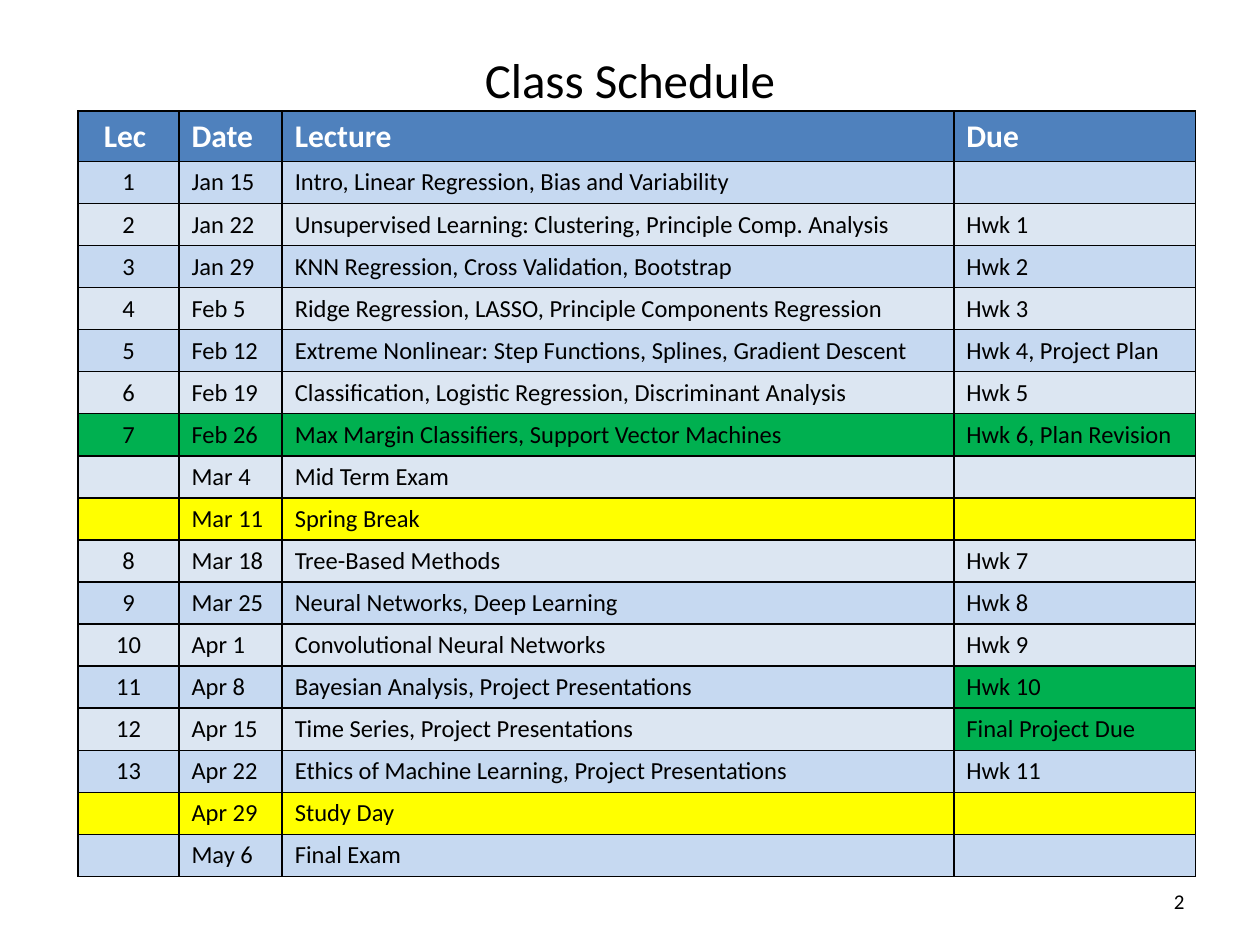
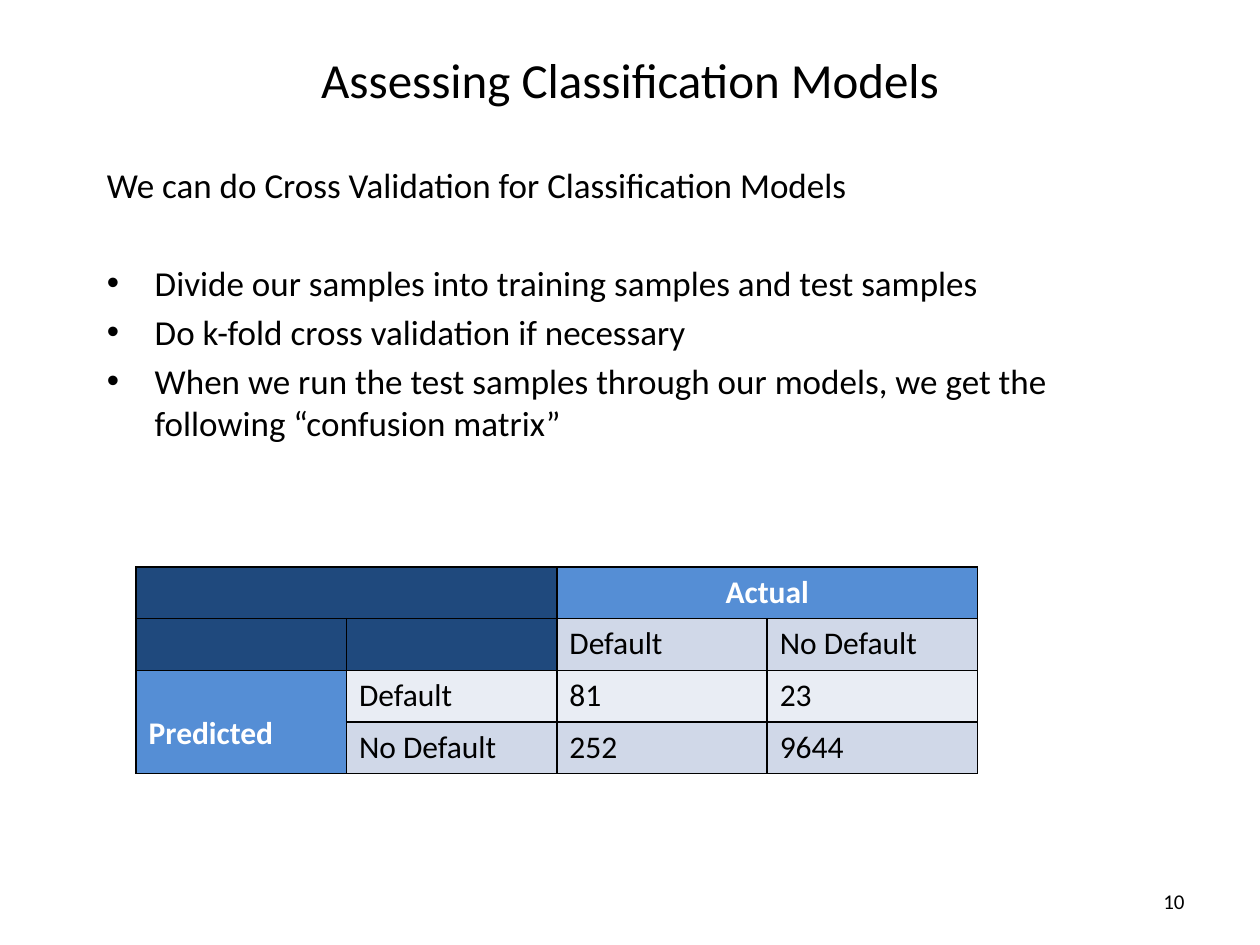
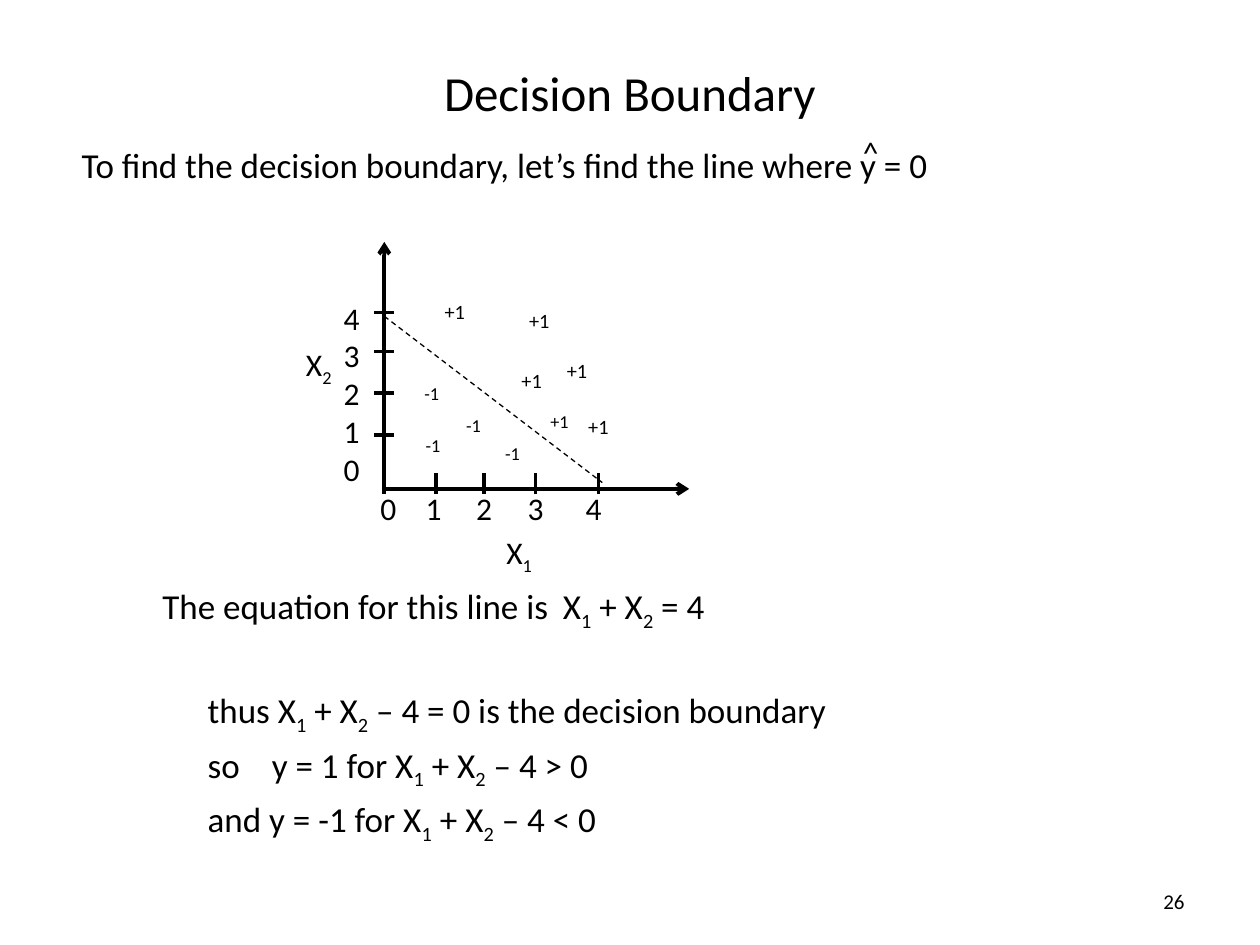
import pptx
import pptx.dml.color
import pptx.enum.dml
import pptx.enum.shapes
import pptx.enum.text
import pptx.oxml.ns
import pptx.util
from lxml import etree

Inches = pptx.util.Inches
Pt = pptx.util.Pt
ALIGN = pptx.enum.text.PP_ALIGN
ANCHOR = pptx.enum.text.MSO_ANCHOR

FONT = "Calibri"
COLORS = {
    "ink": "000000",
    "paper": "FFFFFF",
    "header": "4F81BD",
    "odd": "C6D9F1",
    "even": "DCE6F2",
    "current": "00B050",
    "holiday": "FFFF00",
    "corner": "1F497D",
    "axis": "558ED5",
    "matrix_dark": "D0D8E8",
    "matrix_light": "E9EDF4",
}
TITLE_BOX = (0.5, 0, 9, 1.25)
NUMBER_BOX = (7.17, 6.95, 2.33, 0.4)

SCHEDULE = [
    ("Lec ", "Date", "Lecture", "Due"),
    ("1", "Jan 15", "Intro, Linear Regression, Bias and Variability", ""),
    ("2", "Jan 22", "Unsupervised Learning: Clustering, Principle Comp. Analysis", "Hwk 1"),
    ("3", "Jan 29", "KNN Regression, Cross Validation, Bootstrap", "Hwk 2"),
    ("4", "Feb 5", "Ridge Regression, LASSO, Principle Components Regression", "Hwk 3"),
    ("5", "Feb 12", "Extreme Nonlinear: Step Functions, Splines, Gradient Descent",
     "Hwk 4, Project Plan"),
    ("6", "Feb 19", "Classification, Logistic Regression, Discriminant Analysis", "Hwk 5"),
    ("7", "Feb 26", "Max Margin Classifiers, Support Vector Machines", "Hwk 6, Plan Revision"),
    ("", "Mar 4", "Mid Term Exam", ""),
    ("", "Mar 11", "Spring Break", ""),
    ("8", "Mar 18", "Tree-Based Methods", "Hwk 7"),
    ("9", "Mar 25", "Neural Networks, Deep Learning", "Hwk 8"),
    ("10", "Apr 1", "Convolutional Neural Networks", "Hwk 9"),
    ("11", "Apr 8", "Bayesian Analysis, Project Presentations", "Hwk 10"),
    ("12", "Apr 15", "Time Series, Project Presentations", "Final Project Due"),
    ("13", "Apr 22", "Ethics of Machine Learning, Project Presentations", "Hwk 11"),
    ("", "Apr 29", "Study Day", ""),
    ("", "May 6", "Final Exam", ""),
]
ROW_FILLS = {"Lec ": "header", "7": "current"}
LECTURE_FILLS = {"Spring Break": "holiday", "Study Day": "holiday"}
DUE_FILLS = {"Hwk 10": "current", "Final Project Due": "current"}

# Each cell is its text and its fill
MATRIX = [
    [("", "corner"), ("", "corner"), ("Actual", "axis"), ("", "axis")],
    [("", "corner"), ("", "corner"), ("Default", "matrix_dark"), ("No Default", "matrix_dark")],
    [("Predicted", "axis"), ("Default", "matrix_light"), ("81", "matrix_light"),
     ("23", "matrix_light")],
    [("", "axis"), ("No Default", "matrix_dark"), ("252", "matrix_dark"), ("9644", "matrix_dark")],
]

# Sample labels with size, and places relative to the plot
SAMPLES = [
    ("{+1}", 20, [(1.1, 0.22), (1.77, 0.29), (1.71, 0.77), (2.07, 0.69), (2.24, 1.13)]),
    ("{+1}", 18, [(1.94, 1.12)]),
    ("{-1}", 18, [(1.27, 1.15), (0.95, 1.31), (1.58, 1.37), (0.94, 0.9)]),
]


# Shared helpers
def color(name):
    return pptx.dml.color.RGBColor.from_string(COLORS[name])


def apply(target, values):
    for name, value in values.items():
        setattr(target, name, value)


def add_element(parent, tag, **attributes):
    return etree.SubElement(parent, pptx.oxml.ns.qn(tag), attributes)


def write(paragraph, text, size, ink="ink", bold=False, **layout):
    """Fill a paragraph; text in braces becomes subscript."""
    apply(paragraph, layout)
    for index, piece in enumerate(text.replace("}", "{").split("{")):
        if piece:
            run = paragraph.add_run()
            apply(run, {"text": piece})
            apply(run.font, {"name": FONT, "size": Pt(size), "bold": bold})
            run.font.color.rgb = color(ink)
            if index % 2:
                run.font._element.set("baseline", "-25000")
    if not text:
        paragraph._p.get_or_add_endParaRPr().set("sz", str(size * 100))


def set_bullet(paragraph, indent):
    properties = paragraph._p.get_or_add_pPr()
    properties.set("marL", str(Inches(indent)))
    properties.set("indent", str(-Inches(indent)))
    add_element(properties, "a:buFont", typeface="Arial")
    add_element(properties, "a:buChar", char="•")


def set_tabs(paragraph, stops):
    tabs = add_element(paragraph._p.get_or_add_pPr(), "a:tabLst")
    for stop in stops:
        add_element(tabs, "a:tab", pos=str(Inches(stop)), algn="l")


def add_frame(shapes, box, **values):
    frame = shapes.add_textbox(*map(Inches, box)).text_frame
    apply(frame, {"word_wrap": True, **values})
    return frame


def paragraphs_of(frame, count):
    return [frame.paragraphs[0]] + [frame.add_paragraph() for _ in range(count - 1)]


def add_label(shapes, box, lines, size=18):
    frame = add_frame(shapes, box, word_wrap=False,
                      auto_size=pptx.enum.text.MSO_AUTO_SIZE.SHAPE_TO_FIT_TEXT)
    for paragraph, line in zip(paragraphs_of(frame, len(lines)), lines):
        write(paragraph, line, size)
    return frame


def add_line(shapes, start, end, width=2.25, arrow=False, dashed=False):
    line = shapes.add_connector(pptx.enum.shapes.MSO_CONNECTOR.STRAIGHT,
                                *map(Inches, start + end))
    line.line.color.rgb = color("ink")
    line.line.width = Pt(width)
    if dashed:
        line.line.dash_style = pptx.enum.dml.MSO_LINE.DASH
    if arrow:
        add_element(line.line._get_or_add_ln(), "a:tailEnd", type="arrow")
    add_element(line._element.spPr, "a:effectLst")


def add_table(slide, left, top, widths, heights):
    shape = slide.shapes.add_table(len(heights), len(widths), Inches(left), Inches(top),
                                   Inches(sum(widths)), Inches(sum(heights)))
    table = shape.table
    apply(table, {"first_row": False, "horz_banding": False})
    for column, width in zip(table.columns, widths):
        column.width = Inches(width)
    for row, height in zip(table.rows, heights):
        row.height = Inches(height)
    return table


def fill_cell(cell, text, fill, size, **values):
    properties = cell._tc.get_or_add_tcPr()
    for side in "LRTB":
        border = add_element(properties, "a:ln" + side, w=str(Pt(1)))
        add_element(add_element(border, "a:solidFill"), "a:srgbClr", val=COLORS["ink"])
    cell.fill.solid()
    cell.fill.fore_color.rgb = color(fill)
    write(cell.text_frame.paragraphs[0], text, size, **values)


def add_slide(presentation, title, number, title_box=TITLE_BOX):
    slide = presentation.slides.add_slide(presentation.slide_layouts[6])
    parts = [(title_box, title, 28, ALIGN.CENTER), (NUMBER_BOX, number, 12, ALIGN.RIGHT)]
    for box, text, size, alignment in parts:
        frame = add_frame(slide.shapes, box, vertical_anchor=ANCHOR.MIDDLE)
        write(frame.paragraphs[0], text, size, alignment=alignment)
    return slide


# Schedule
def add_schedule(slide, left, top):
    heights = [0.4] + [0.33] * (len(SCHEDULE) - 1)
    table = add_table(slide, left, top, [0.8, 0.82, 5.33, 1.92], heights)
    for row, entry in enumerate(SCHEDULE):
        band = "odd" if row % 2 else "even"
        row_fill = ROW_FILLS.get(entry[0], LECTURE_FILLS.get(entry[2], band))
        style = {"size": 14} if row else {"size": 18, "ink": "paper", "bold": True}
        for column, text in enumerate(entry):
            fill_cell(table.cell(row, column), text, DUE_FILLS.get(text, row_fill),
                      alignment=None if column else ALIGN.CENTER, **style)


# Confusion matrix
def add_matrix(slide, left, top):
    table = add_table(slide, left, top, [1.67] * 4, [0.41] * 4)
    for row, entries in enumerate(MATRIX):
        for column, (text, fill) in enumerate(entries):
            heading = {"ink": "paper", "bold": True} if fill == "axis" else {}
            fill_cell(table.cell(row, column), text, fill, 18, **heading)
    for first, last in [((0, 0), (0, 1)), ((0, 2), (0, 3)), ((2, 0), (3, 0))]:
        table.cell(*first).merge(table.cell(*last))
    table.cell(0, 2).text_frame.paragraphs[0].alignment = ALIGN.CENTER
    table.cell(2, 0).margin_top = Inches(0.35)


def add_assessment_text(slide, box):
    lines = [
        ("We can do Cross Validation for Classification Models", 4),
        ("Divide our samples into training samples and test samples", 32),
        ("Do k-fold cross validation if necessary", 4),
        ("When we run the test samples through our models, we get the "
         "following “confusion matrix”", 4),
    ]
    paragraphs = paragraphs_of(add_frame(slide.shapes, box), len(lines))
    for paragraph, (text, gap) in zip(paragraphs, lines):
        write(paragraph, text, 20, space_before=Pt(gap))
    for paragraph in paragraphs[1:]:
        set_bullet(paragraph, 0.38)


# Decision boundary
def add_boundary_text(slide, box):
    lines = [
        ("To find the decision boundary, let’s find the line where y = 0", 4, ()),
        ("\tThe equation for this line is\tX{1} + X{2} = 4", 228, (0.64, 3.82)),
        ("\tthus X{1} + X{2} – 4 = 0 is the decision boundary", 32, (1,)),
        ("\tso\ty = 1 for X{1} + X{2} – 4 > 0", 4, (1, 1.51)),
        ("\tand y = -1 for X{1} + X{2} – 4 < 0", 4, (1,)),
    ]
    paragraphs = paragraphs_of(add_frame(slide.shapes, box), len(lines))
    for paragraph, (text, gap, stops) in zip(paragraphs, lines):
        write(paragraph, text, 20, space_before=Pt(gap))
        if stops:
            set_tabs(paragraph, stops)
    left, top = box[:2]
    add_label(slide.shapes, (left + 6.2, top - 0.08, 0.33, 0.4), ["^"])


def add_plot(slide, left, top):
    shapes = slide.shapes.add_group_shape().shapes

    def at(x, y):
        return (left + x, top + y)

    # Samples and axis names
    for text, size, places in SAMPLES:
        for place in places:
            add_label(shapes, at(*place) + (0.39, 0.33), [text], size)
    add_label(shapes, at(0, 0.77) + (0.42, 0.4), ["X{2}"])
    add_label(shapes, at(1.59, 2.26) + (0.42, 0.4), ["X{1}"])

    # Scales
    add_label(shapes, at(0.3, 0.4) + (0.33, 1.62), list("43210"))
    scale = add_frame(shapes, at(0.59, 1.91) + (2, 0.4))
    write(scale.paragraphs[0], "\t".join("01234"), 18)
    set_tabs(scale.paragraphs[0], (0.36, 0.76, 1.17, 1.63))

    # Axes, ticks and boundary
    add_line(shapes, at(0.72, 0.59), at(2.45, 1.91), width=0.75, dashed=True)
    add_line(shapes, at(0.72, 2), at(0.72, 0), arrow=True)
    add_line(shapes, at(0.72, 1.96), at(3.14, 1.96), arrow=True)
    for y in (0.56, 0.87, 1.2, 1.53):
        add_line(shapes, at(0.64, y), at(0.8, y))
    for x in (1.13, 1.51, 1.92, 2.42):
        add_line(shapes, at(x, 2), at(x, 1.83))


def main():
    presentation = pptx.Presentation()
    apply(presentation, {"slide_width": Inches(10), "slide_height": Inches(7.5)})

    slide = add_slide(presentation, "Class Schedule", "2")
    add_schedule(slide, 0.62, 0.88)

    slide = add_slide(presentation, "Assessing Classification Models", "10")
    add_assessment_text(slide, (0.75, 1.25, 8.5, 5.83))
    add_matrix(slide, 1.08, 4.5)

    slide = add_slide(presentation, "Decision Boundary", "26", (0.5, 0.42, 9, 0.62))
    add_boundary_text(slide, (0.55, 1.09, 9, 5.62))
    add_plot(slide, 2.33, 1.92)

    presentation.save("out.pptx")


if __name__ == "__main__":
    main()
